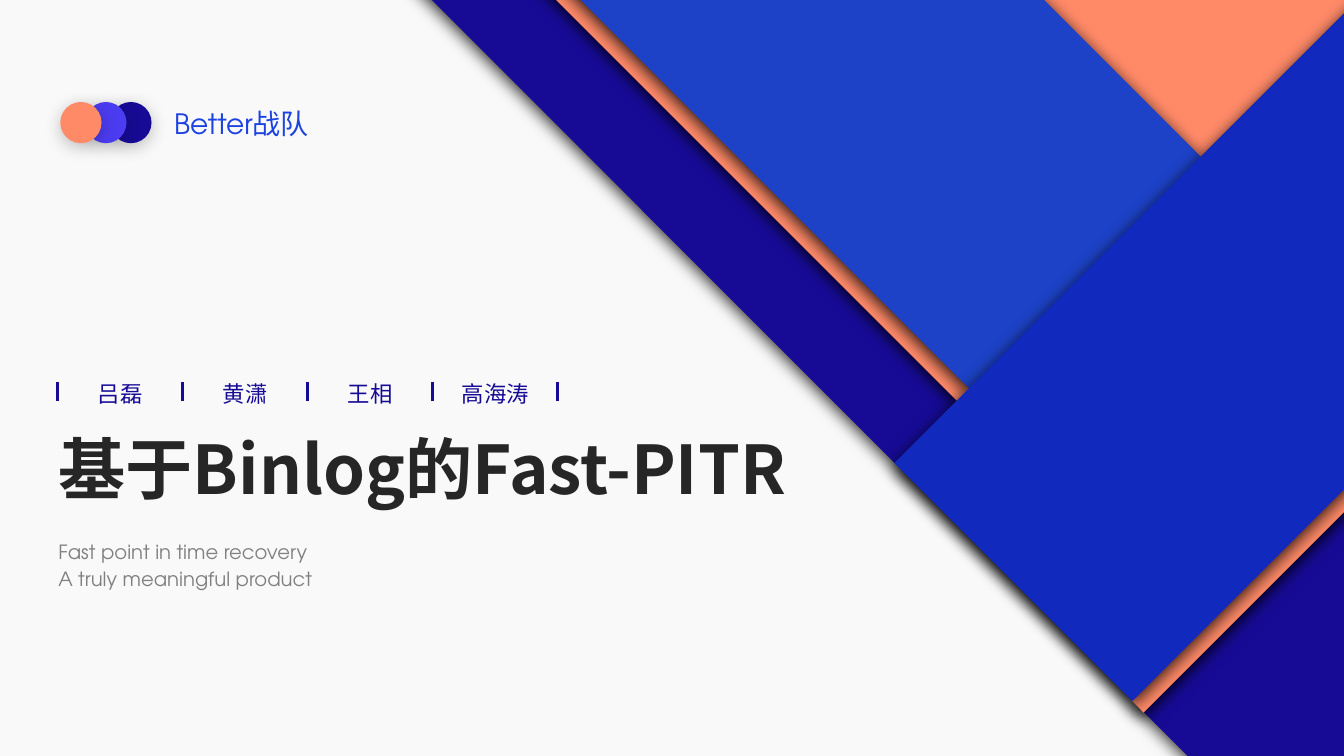
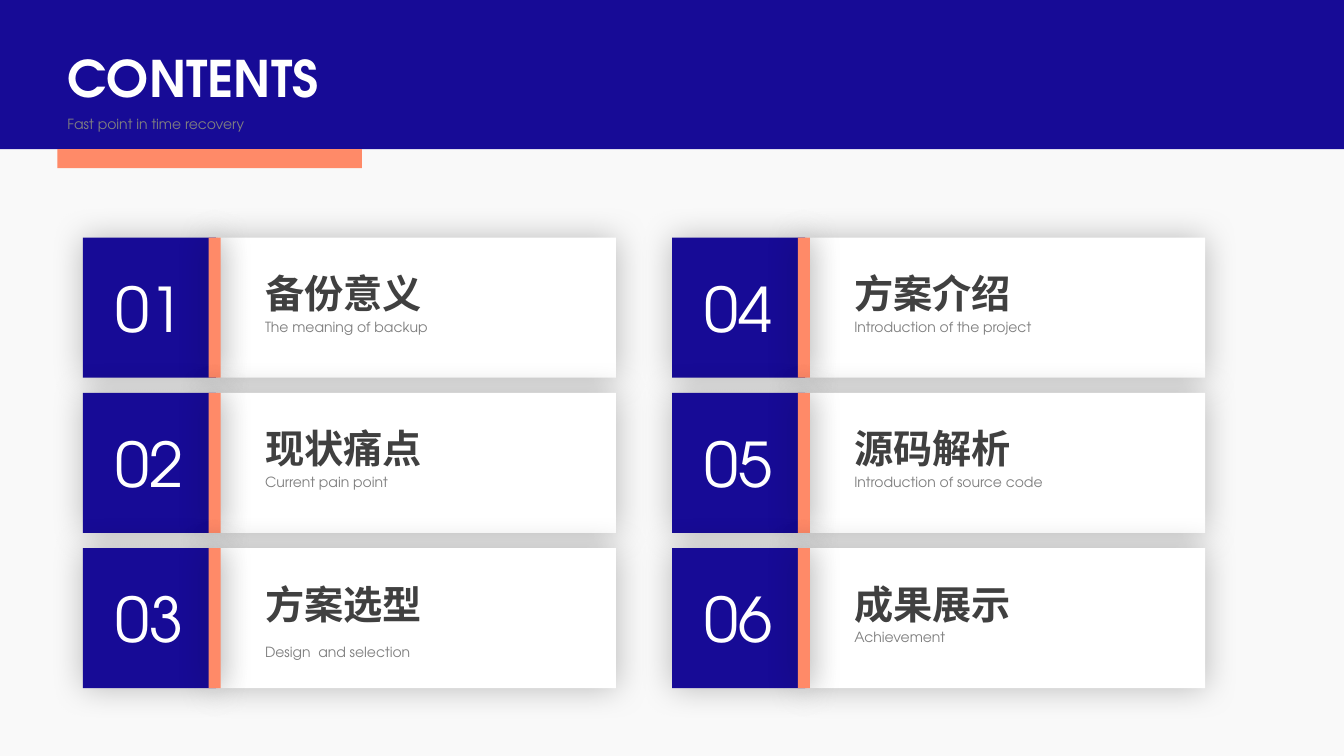
"""Build the cover and contents slides of a talk on fast recovery."""
import dataclasses
import typing

import lxml.etree
import pptx
import pptx.dml.color
import pptx.enum.shapes
import pptx.enum.text
import pptx.oxml.ns
import pptx.util

Cm = pptx.util.Cm
Pt = pptx.util.Pt
qn = pptx.oxml.ns.qn
Align = pptx.enum.text.PP_ALIGN
Anchor = pptx.enum.text.MSO_ANCHOR
Kind = pptx.enum.shapes.MSO_SHAPE

WIDE, HIGH = 33.87, 19.05
NAVY, CORAL, WHITE, GRAY = "170B96", "FF8A68", "FFFFFF", "808080"
LATIN, HAN = "TeX Gyre Adventor", "Noto Sans CJK SC"


class Box(typing.NamedTuple):
    """A frame in centimetres."""
    left: float
    top: float
    width: float
    height: float


class Shade(typing.NamedTuple):
    """An outer shadow: opacity in percent, blur and offset in points."""
    alpha: int
    blur: int
    dist: int


@dataclasses.dataclass(frozen=True)
class Style:
    """How a piece of text looks."""
    size: int
    color: str
    font: str = LATIN
    bold: bool = False
    align: Align = Align.LEFT
    line: float = 1.0
    gap: float = 0


@dataclasses.dataclass(frozen=True)
class Slab:
    """A tilted rectangle of the cover."""
    box: Box
    color: str


@dataclasses.dataclass(frozen=True)
class Card:
    """One entry of the contents."""
    head: str
    note: str
    drop: float = 0


DEEP, SOFT, GLOW = Shade(86, 12, 3), Shade(24, 13, 3), Shade(26, 24, 0)

COVER = Style(48, "262626", HAN, True)
LEAD = Style(14, GRAY, gap=2.5)
TEAM = Style(20, "1C42E1")
NAME = Style(16, NAVY, HAN, align=Align.CENTER)
HEAD = Style(36, WHITE, bold=True)
SMALL = Style(10, GRAY)
DIGIT = Style(44, WHITE, align=Align.CENTER)
TOPIC = Style(28, "404040", "Arial", True, line=1.25)
NOTE = Style(10, GRAY, line=1.25)

BACK = (
    Slab(Box(9.75, -5.74, 37.13, 19.2), NAVY),
    Slab(Box(37.03, -2.97, 0.46, 24.33), CORAL),
    Slab(Box(7.67, 2.84, 19.48, 0.46), CORAL),
)
FRONT = (
    Slab(Box(10.72, -4.14, 19.48, 8.26), "1D42C7"),
    Slab(Box(29.9, -6.1, 8.48, 24.33), "1129BD"),
)
CORNER = ((26.29, 0), (34.21, 0), (30.25, 3.96))
CREW = ("吕磊", "黄潇", "王相", "高海涛")
DOTS = (CORAL, "4C3CF1", NAVY)
CARDS = (
    Card("备份意义", "The meaning of backup"),
    Card("现状痛点", "Current pain point"),
    Card("方案选型", "Design  and selection", 0.38),
    Card("方案介绍", "Introduction of the project"),
    Card("源码解析", "Introduction of source code"),
    Card("成果展示", "Achievement"),
)


def tint(code: str) -> pptx.dml.color.RGBColor:
    """Turn a hex string into a colour."""
    return pptx.dml.color.RGBColor.from_string(code)


def frame(box: Box) -> list:
    """Turn a box into lengths."""
    return [Cm(side) for side in box]


def paint(shape, color: str, shade: typing.Optional[Shade] = None) -> None:
    """Fill a shape, drop its outline and set its shadow."""
    shape.fill.solid()
    shape.fill.fore_color.rgb = tint(color)
    shape.line.fill.background()
    shape.shadow.inherit = False
    if shade is None:
        return
    holder = next(shape.element.iter(qn("a:effectLst")))
    outer = lxml.etree.SubElement(
        holder, qn("a:outerShdw"), blurRad=str(Pt(shade.blur)),
        dist=str(Pt(shade.dist)), dir="5400000", algn="ctr", rotWithShape="0")
    black = lxml.etree.SubElement(outer, qn("a:srgbClr"), val="000000")
    lxml.etree.SubElement(black, qn("a:alpha"), val=str(shade.alpha * 1000))


def block(slide, box: Box, color: str, shade: typing.Optional[Shade] = None,
          kind: Kind = Kind.RECTANGLE, turn: float = 0):
    """Add a plain filled shape."""
    shape = slide.shapes.add_shape(kind, *frame(box))
    shape.rotation = turn
    paint(shape, color, shade)
    return shape


def write(shape, text: str, style: Style, anchor: Anchor = Anchor.TOP) -> None:
    """Put styled lines of text into a shape."""
    body = shape.text_frame
    body.text = text
    body.word_wrap = True
    body.auto_size = pptx.enum.text.MSO_AUTO_SIZE.NONE
    body.vertical_anchor = anchor
    for rank, para in enumerate(body.paragraphs):
        para.alignment = style.align
        para.line_spacing = style.line
        para.space_before = Pt(style.gap if rank else 0)
        para.font.size = Pt(style.size)
        para.font.bold = style.bold
        para.font.color.rgb = tint(style.color)
        para.font.name = style.font
    for props in shape.element.iter(qn("a:defRPr")):
        lxml.etree.SubElement(props, qn("a:ea"), typeface=HAN)


def label(slide, box: Box, text: str, style: Style) -> None:
    """Add a text box."""
    write(slide.shapes.add_textbox(*frame(box)), text, style)


def title(slide, box: Box, text: str, style: Style) -> None:
    """Place the title in front of the shapes drawn so far."""
    shape = slide.shapes.title
    shape.left, shape.top, shape.width, shape.height = frame(box)
    write(shape, text, style)
    shape.element.getparent().append(shape.element)


def tick(slide, left: float) -> None:
    """Draw an upright mark between names."""
    line = slide.shapes.add_connector(
        pptx.enum.shapes.MSO_CONNECTOR.STRAIGHT,
        Cm(left), Cm(9.63), Cm(left), Cm(10.11))
    line.line.color.rgb = tint(NAVY)
    line.line.width = Pt(1.5)
    props = line.element.find(qn("p:spPr"))
    lxml.etree.SubElement(props, qn("a:effectLst"))


def slabs(slide, group: typing.Iterable[Slab]) -> None:
    """Draw tilted rectangles."""
    for slab in group:
        block(slide, slab.box, slab.color, DEEP, turn=45)


def cover(slide) -> None:
    """Draw the cover."""
    slabs(slide, BACK)
    first, *rest = [(Cm(x), Cm(y)) for x, y in CORNER]
    pen = slide.shapes.build_freeform(*first)
    pen.add_line_segments(rest, close=True)
    paint(pen.convert_to_shape(), CORAL, DEEP)
    slabs(slide, FRONT)

    title(slide, Box(1.22, 10.64, 24.54, 2.31), "基于Binlog的Fast-PITR", COVER)
    label(slide, Box(1.22, 13.49, 18.82, 1.63),
          "Fast point in time recovery\nA truly meaningful product", LEAD)
    label(slide, Box(4.14, 2.57, 7.01, 1.12), "Better战队", TEAM)

    step = 3.15
    for rank, name in enumerate(CREW):
        label(slide, Box(1.24 + rank * step, 9.45, 3.58, 0.94), name, NAME)
    for rank in range(len(CREW) + 1):
        tick(slide, 1.45 + rank * step)
    for rank, color in reversed(list(enumerate(DOTS))):
        block(slide, Box(1.52 + rank * 0.63, 2.57, 1.04, 1.04), color, SOFT,
              Kind.OVAL)


def entry(slide, card: Card, rank: int) -> None:
    """Draw one card in the grid, column by column."""
    col, row = divmod(rank, 3)
    left, top, high = 2.09 + col * 14.85, 5.99 + row * 3.91, 3.53
    block(slide, Box(left + 3.4, top, 10.03, high), WHITE, GLOW)
    label(slide, Box(left + 4.34, top + 0.38, 7.16, 1.63), card.head, TOPIC)
    label(slide, Box(left + 4.34, top + 1.8 + card.drop, 7.92, 0.74),
          card.note, NOTE)
    square = block(slide, Box(left, top, 3.35, high), NAVY, GLOW)
    write(square, f"{rank + 1:02}", DIGIT, Anchor.MIDDLE)
    block(slide, Box(left + 3.17, top, 0.3, high), CORAL, GLOW)


def contents(slide) -> None:
    """Draw the contents."""
    block(slide, Box(0, 0, WIDE, 3.76), NAVY)
    block(slide, Box(1.45, 3.76, 7.67, 0.48), CORAL)
    title(slide, Box(1.45, 1.07, 10, 1.8), "CONTENTS", HEAD)
    label(slide, Box(1.45, 2.79, 25.63, 0.69),
          "Fast point in time recovery", SMALL)
    for rank, card in enumerate(CARDS):
        entry(slide, card, rank)


def main() -> None:
    """Build and save the deck."""
    deck = pptx.Presentation()
    deck.slide_width, deck.slide_height = Cm(WIDE), Cm(HIGH)
    ground = deck.slide_master.background.fill
    ground.solid()
    ground.fore_color.rgb = tint("F9F9F9")
    for draw in (cover, contents):
        draw(deck.slides.add_slide(deck.slide_layouts[5]))
    deck.save("out.pptx")


if __name__ == "__main__":
    main()
